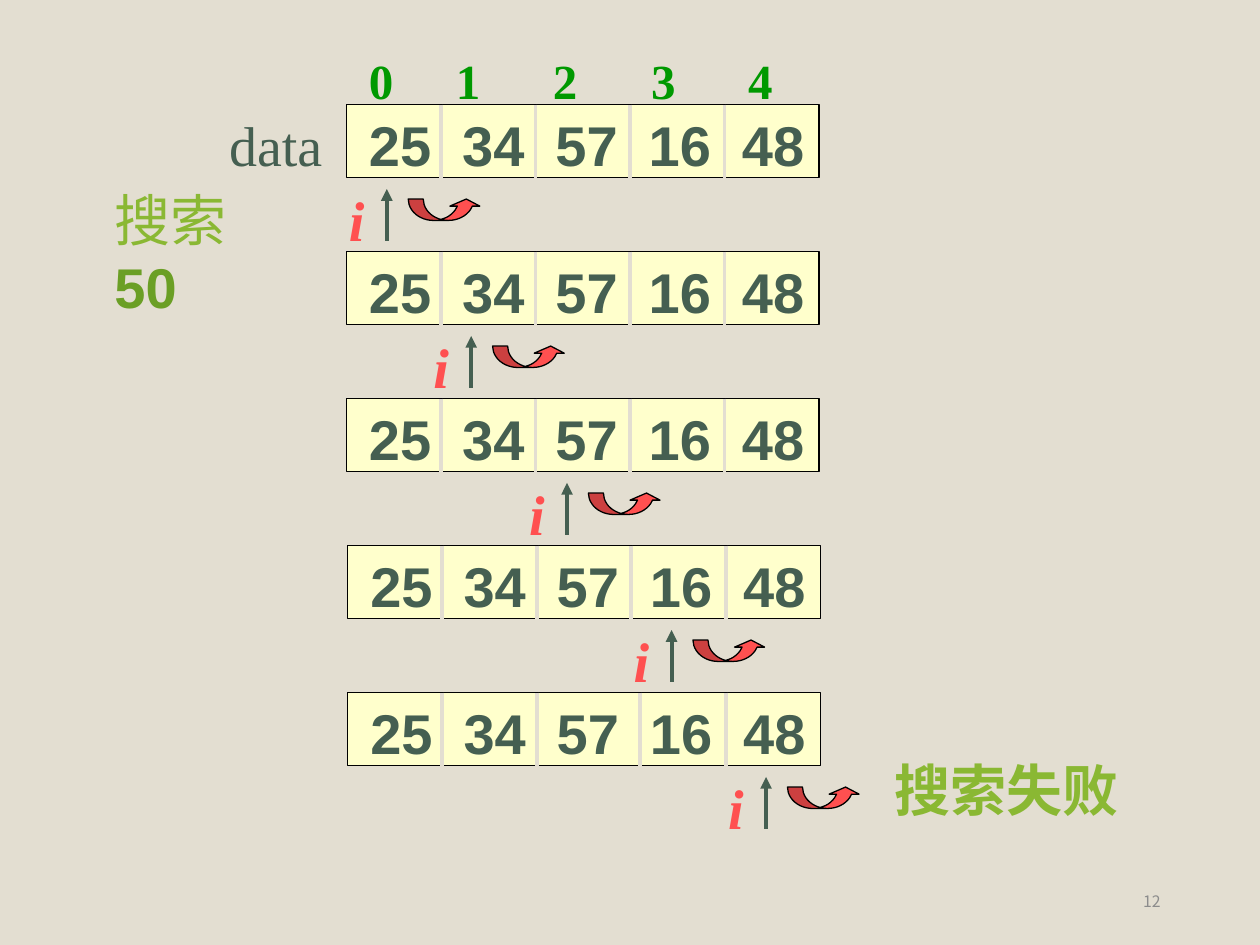
from lxml.etree import SubElement
from pptx import Presentation
from pptx.dml.color import RGBColor
from pptx.enum.shapes import MSO_CONNECTOR, MSO_SHAPE
from pptx.enum.text import MSO_ANCHOR, PP_ALIGN
from pptx.oxml.ns import qn
from pptx.util import Inches, Pt

COLORS = {
    "background": "E3DED1", "cell": "FFFFCC", "outline": "000000",
    "text": "455F51", "index": "009900", "pointer": "FF5050",
    "label": "8AB833", "target": "6B9F25", "page": "8C8C8C",
}
SERIF, SANS, CJK = "Times New Roman", "Arial", "Noto Sans CJK SC"
VALUES = ["25", "34", "57", "16", "48"]
VALUE_STOPS = [0.74, 1.48, 2.22, 2.96]
INDEX_STOPS = [0.69, 1.46, 2.24, 3.01]
CELL_WIDTH, ROW_HEIGHT = 0.75, 0.58
FIRST_TOP, ROW_STEP = 0.83, 7 / 6

# Each search step: array left, value text width, pointer x
STEPS = [
    (2.75, 3.75, 3.07),
    (2.75, 3.83, 3.74),
    (2.75, 4.49, 4.5),
    (2.76, 4.49, 5.33),
    (2.76, 4.49, 6.08),
]


def rgb(name):
    return RGBColor.from_string(COLORS[name])


class SlideBuilder:
    def __init__(self, slide):
        self.slide = slide
        background = slide.background.fill
        background.solid()
        background.fore_color.rgb = rgb("background")

    def style(self, font, color, name=SERIF, size=32, bold=False, italic=False):
        font.name, font.size = name, Pt(size)
        font.bold, font.italic = bold, italic
        font.color.rgb = rgb(color)

    def textbox(self, left, top, width, height, wrap=False):
        box = self.slide.shapes.add_textbox(
            Inches(left), Inches(top), Inches(width), Inches(height))
        box.text_frame.word_wrap = wrap
        return box.text_frame

    def text(self, content, place, color, wrap=False, stops=(), **style):
        """Add one paragraph; stops are tab positions in inches."""
        frame = self.textbox(*place, wrap=wrap)
        paragraph = frame.paragraphs[0]
        paragraph.text = content
        if stops:
            tabs = SubElement(paragraph._p.get_or_add_pPr(), qn("a:tabLst"))
            for stop in stops:
                SubElement(tabs, qn("a:tab"), pos=str(Inches(stop)), algn="l")
        self.style(paragraph.font, color, **style)
        return frame

    def line(self, start, end, color, arrow=False):
        connector = self.slide.shapes.add_connector(
            MSO_CONNECTOR.STRAIGHT, *(Inches(v) for v in (*start, *end)))
        connector.line.color.rgb = rgb(color)
        connector.line.width = Pt(2.25)
        if arrow:
            SubElement(connector.line._get_or_add_ln(), qn("a:tailEnd"), type="triangle")
        SubElement(connector._element.spPr, qn("a:effectLst"))

    def shape(self, kind, place, fill, adjustments=()):
        shape = self.slide.shapes.add_shape(kind, *(Inches(v) for v in place))
        for number, value in enumerate(adjustments):
            shape.adjustments[number] = value
        shape.shadow.inherit = False
        shape.fill.solid()
        shape.fill.fore_color.rgb = rgb(fill)
        shape.line.color.rgb = rgb("outline")
        shape.line.width = Pt(0.75)

    def array(self, left, top, text_width, dividers):
        self.shape(MSO_SHAPE.RECTANGLE,
                   (left, top, len(VALUES) * CELL_WIDTH, ROW_HEIGHT), "cell")
        self.text("\t".join(VALUES), (left + 0.08, top, text_width, 0.63), "text",
                  wrap=True, stops=VALUE_STOPS, name=SANS, bold=True)
        for x in dividers:
            self.line((x, top), (x, top + ROW_HEIGHT), "background")

    def pointer(self, x, top):
        """Mark index i under an array whose top is given, with its next move."""
        self.line((x, top + 1.08), (x, top + 0.67), "text", arrow=True)
        self.text("i", (x - 0.4, top + 0.59, 0.32, 0.63), "pointer",
                  bold=True, italic=True)
        self.shape(MSO_SHAPE.CURVED_UP_ARROW, (x + 0.17, top + 0.75, 0.58, 0.17),
                   "pointer", (0.7, 1.4, 0.333))


def main():
    presentation = Presentation()
    presentation.slide_width, presentation.slide_height = Inches(10), Inches(7.5)
    builder = SlideBuilder(presentation.slides.add_slide(presentation.slide_layouts[6]))

    builder.text("\t".join(str(n) for n in range(len(VALUES))),
                 (2.83, 0.35, 3.5, 0.57), "index", wrap=True, stops=INDEX_STOPS,
                 size=28, bold=True)
    builder.text("data", (1.72, 0.83, 0.94, 0.63), "text")

    search = builder.textbox(0.81, 1.42, 1.5, 1.16, wrap=True).paragraphs[0]
    for content, style in (
        ("搜索 ", {"color": "label"}),
        ("50", {"color": "target", "name": SANS, "bold": True}),
    ):
        run = search.add_run()
        run.text = content
        builder.style(run.font, **style)

    for number, (left, text_width, pointer_x) in enumerate(STEPS):
        top = FIRST_TOP + number * ROW_STEP
        dividers = [left + n * CELL_WIDTH for n in range(1, len(VALUES))]
        if number == len(STEPS) - 1:
            dividers[2] = 5.08
        builder.array(left, top, text_width, dividers)
        builder.pointer(pointer_x, top)

    builder.text("搜索失败", (7, 5.95, 1.99, 0.63), "label", bold=True)
    page = builder.text("12", (7.06, 6.95, 2.25, 0.4), "page", wrap=True,
                        name=CJK, size=9)
    page.vertical_anchor = MSO_ANCHOR.MIDDLE
    page.paragraphs[0].alignment = PP_ALIGN.RIGHT

    presentation.save("out.pptx")


if __name__ == "__main__":
    main()
